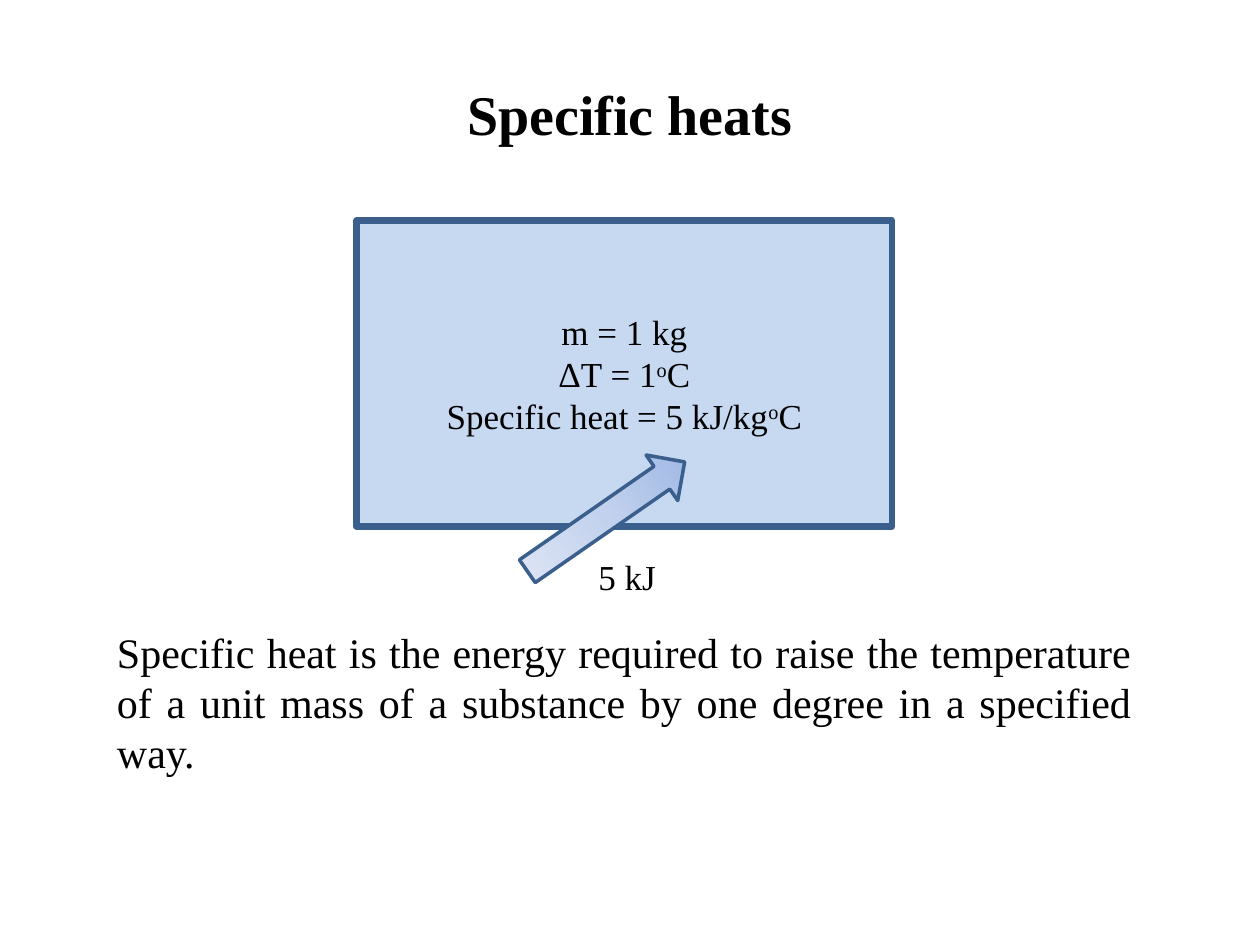
"""Build the slide that explains specific heats."""
from copy import deepcopy

from pptx import Presentation
from pptx.dml.color import RGBColor
from pptx.enum.shapes import MSO_SHAPE as Shape
from pptx.enum.text import MSO_ANCHOR as Anchor, MSO_AUTO_SIZE as AutoSize, PP_ALIGN as Align
from pptx.util import Inches, Pt

FONT = "Times New Roman"
COLORS = {
    "text": "000000",
    "outline": "3A5F8C",
    "system": "C6D9F1",
    "heat_head": "9AB5E4",
    "heat_middle": "C2D1ED",
    "heat_tail": "E1E8F5",
}


def color(name):
    return RGBColor.from_string(COLORS[name])


def write(frame, lines, size, align, bold=False):
    """Fill a text frame; text between carets is superscript."""
    for index, line in enumerate(lines):
        paragraph = frame.paragraphs[0] if index == 0 else frame.add_paragraph()
        paragraph.alignment = align
        font = paragraph.font
        font.name, font.size, font.bold = FONT, Pt(size), bold
        font.color.rgb = color("text")
        for position, part in enumerate(line.split("^")):
            run = paragraph.add_run()
            run.text = part
            if position % 2:
                run.font._element.set("baseline", "30000")


def add_text(slide, box, text, size, align, bold=False, wrap=True, auto_size=AutoSize.NONE):
    frame = slide.shapes.add_textbox(*map(Inches, box)).text_frame
    frame.word_wrap = wrap
    frame.auto_size = auto_size
    write(frame, [text], size, align, bold)


def add_outlined(slide, kind, box, line_width):
    shape = slide.shapes.add_shape(kind, *map(Inches, box))
    shape.shadow.inherit = False
    shape.line.color.rgb = color("outline")
    shape.line.width = Pt(line_width)
    return shape


def add_system(slide, box, lines):
    system = add_outlined(slide, Shape.RECTANGLE, box, 3.75)
    system.fill.solid()
    system.fill.fore_color.rgb = color("system")
    system.text_frame.vertical_anchor = Anchor.MIDDLE
    write(system.text_frame, lines, 20, Align.CENTER)


def add_heat_arrow(slide, box, rotation):
    arrow = add_outlined(slide, Shape.RIGHT_ARROW, box, 2)
    arrow.rotation = rotation
    arrow.fill.gradient()
    arrow.fill.gradient_angle = 180
    first_stop = arrow.fill.gradient_stops[0]._gs
    first_stop.addnext(deepcopy(first_stop))
    shades = ("heat_head", "heat_middle", "heat_tail")
    for index, (stop, shade) in enumerate(zip(arrow.fill.gradient_stops, shades)):
        stop.position = index / 2
        stop.color.rgb = color(shade)


def main():
    deck = Presentation()
    deck.slide_width, deck.slide_height = Inches(10), Inches(7.5)
    slide = deck.slides.add_slide(deck.slide_layouts[6])

    add_text(slide, (0.5, 0.58, 9, 0.97), "Specific heats", 32, Align.CENTER, bold=True)
    add_system(slide, (2.83, 1.75, 4.25, 2.43),
               ["m = 1 kg", "ΔT = 1^o^C", "Specific heat = 5 kJ/kg^o^C"])
    add_heat_arrow(slide, (4.05, 3.88, 1.52, 0.44), 325.2)
    add_text(slide, (4.65, 4.36, 0.66, 0.44), "5 kJ", 20, Align.LEFT,
             wrap=False, auto_size=AutoSize.SHAPE_TO_FIT_TEXT)
    add_text(slide, (0.83, 4.92, 8.25, 1.31),
             "Specific heat is the energy required to raise the temperature of a unit mass "
             "of a substance by one degree in a specified way.",
             24, Align.JUSTIFY, auto_size=AutoSize.SHAPE_TO_FIT_TEXT)

    deck.save("out.pptx")


main()
